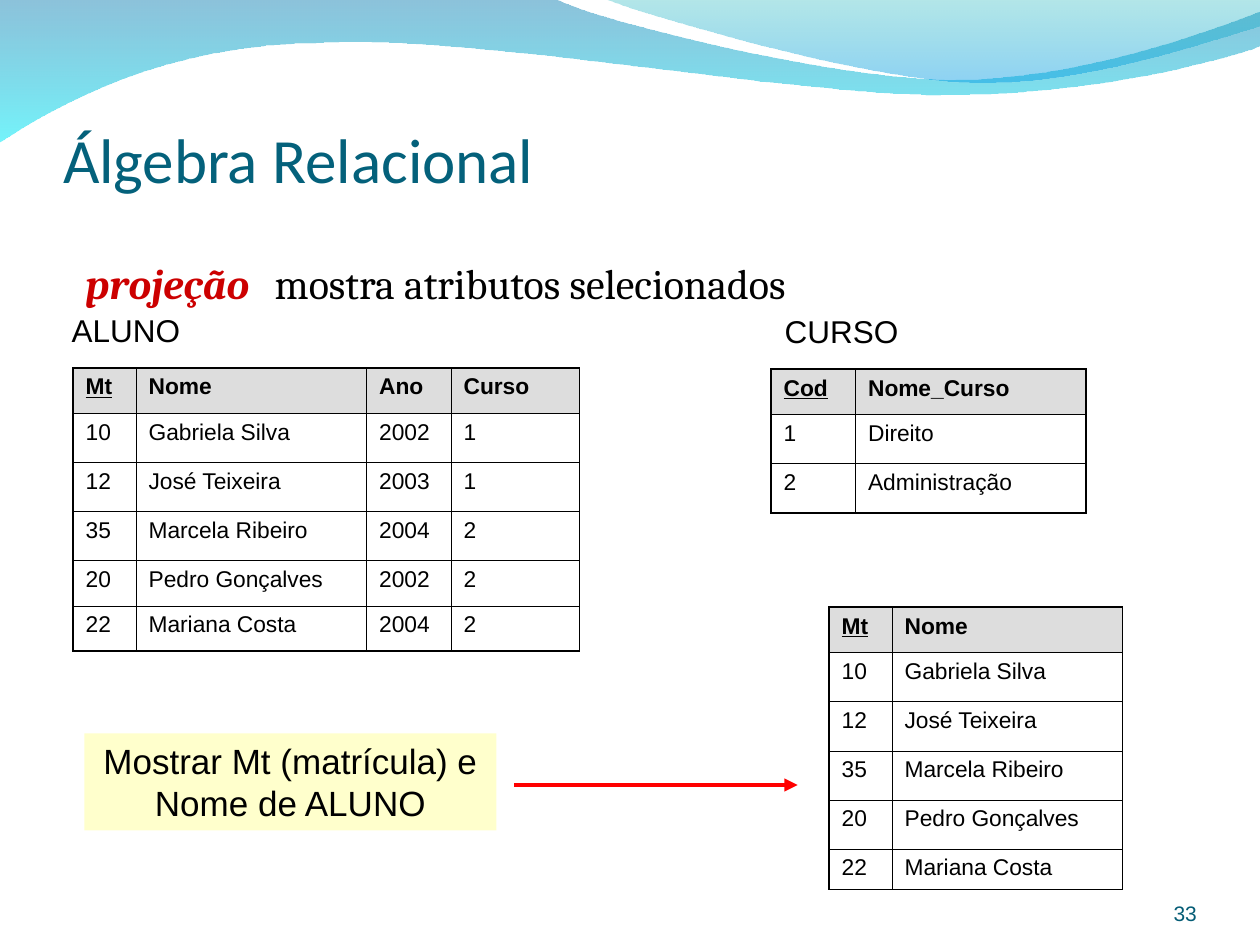
from dataclasses import dataclass

from lxml import etree
from pptx import Presentation
from pptx import util as u
from pptx.dml.color import RGBColor
from pptx.enum import shapes, text
from pptx.oxml import ns

BLACK, THICK, THIN = "000000", 1.08, 0.45
UNITS = 1000


@dataclass
class Wave:
    start: tuple
    segments: list
    stops: list


@dataclass
class Relation:
    left: float
    top: float
    widths: list
    heights: list
    rows: list


def rgb(value: str) -> RGBColor:
    return RGBColor.from_string(value)


def add_xml(parent, tag: str, **attrs):
    return etree.SubElement(parent, ns.qn(tag), attrs)


def box(left, top, width, height) -> list:
    return [u.Inches(v) for v in (left, top, width, height)]


def place(s, *bounds: float) -> None:
    s.left, s.top, s.width, s.height = box(*bounds)


def write(p, content: str, font="Arial", size=18, color=BLACK, bold=False,
          italic=False, underline=False, align=text.PP_ALIGN.LEFT) -> None:
    p.alignment = align
    r = p.add_run()
    r.text = content
    f = r.font
    f.name, f.size, f.color.rgb = font, u.Pt(size), rgb(color)
    f.bold, f.italic, f.underline = bold, italic, underline


def set_frame(tf, margins=(0.1, 0.05, 0.1, 0.05), wrap=True,
              anchor=text.MSO_ANCHOR.TOP) -> None:
    tf.auto_size = text.MSO_AUTO_SIZE.NONE
    tf.word_wrap, tf.vertical_anchor = wrap, anchor
    tf.margin_left, tf.margin_top, tf.margin_right, tf.margin_bottom = box(*margins)


def draw_wave(sp, wave: Wave) -> None:
    anchors = [wave.start] + [segment[-1] for segment in wave.segments]
    left, top = (min(values) for values in zip(*anchors))
    builder = sp.build_freeform(*(v * UNITS for v in wave.start),
                                scale=u.Inches(1) / UNITS)
    builder.add_line_segments([(x * UNITS, y * UNITS) for x, y in anchors[1:]], close=True)
    s = builder.convert_to_shape()
    lines = list(s._element.spPr.iter(ns.qn("a:lnTo")))
    for line, segment in zip(lines, wave.segments):
        if len(segment) == 3:
            curve = etree.Element(ns.qn("a:cubicBezTo"))
            for x, y in segment:
                add_xml(curve, "a:pt", x=str(round((x - left) * UNITS)),
                        y=str(round((y - top) * UNITS)))
            line.getparent().replace(line, curve)
    s.shadow.inherit = False
    s.line.fill.background()
    s.fill.gradient()
    s.fill.gradient_angle = 270
    colors = s.fill._xPr.iter(ns.qn("a:gs"))
    for stop, gs, (color, opacity) in zip(s.fill.gradient_stops, colors, wave.stops):
        stop.color.rgb = rgb(color)
        add_xml(gs[0], "a:alpha", val=str(opacity * 1000))


def draw_relation(sp, relation: Relation) -> None:
    n_rows, n_cols = len(relation.rows), len(relation.widths)
    bounds = box(relation.left, relation.top, sum(relation.widths), sum(relation.heights))
    table = sp.add_table(n_rows, n_cols, *bounds).table
    table.first_row = table.horz_banding = False
    for column, width in zip(table.columns, relation.widths):
        column.width = u.Inches(width)
    for i, (row, height) in enumerate(zip(relation.rows, relation.heights)):
        table.rows[i].height = u.Inches(height)
        for j, value in enumerate(row):
            cell = table.cell(i, j)
            header = i == 0
            write(cell.text_frame.paragraphs[0], value, size=13, bold=header,
                  underline=header and j == 0)
            edges = {"a:lnL": j == 0, "a:lnR": j == n_cols - 1,
                     "a:lnT": header, "a:lnB": i == n_rows - 1}
            for tag, outer in edges.items():
                width = u.Pt(THICK if outer else THIN)
                ln = add_xml(cell._tc.get_or_add_tcPr(), tag, w=str(int(width)))
                add_xml(add_xml(ln, "a:solidFill"), "a:srgbClr", val=BLACK)
            if header:
                cell.fill.solid()
                cell.fill.fore_color.rgb = rgb("DDDDDD")
            else:
                cell.fill.background()


def draw_label(sp, content: str, *bounds: float) -> None:
    tf = sp.add_textbox(*box(*bounds)).text_frame
    set_frame(tf, wrap=False)
    write(tf.paragraphs[0], content)


def draw_arrow(sp, x1: float, x2: float, y: float) -> None:
    s = sp.add_connector(shapes.MSO_CONNECTOR.STRAIGHT, *box(x1, y, x2, y))
    s.line.color.rgb, s.line.width = rgb("FF0000"), u.Pt(2.5)
    add_xml(s.line._get_or_add_ln(), "a:tailEnd", type="triangle")
    add_xml(s._element.spPr, "a:effectLst")


WAVES = [
    Wave((0, -0.01), [
        [(4.4, -0.01)],
        [(4.76, 0.17), (6.64, 0.63), (7.58, 0.63)],
        [(8.53, 0.63), (9.58, 0.26), (10, 0.09)],
        [(10.01, 0.36)],
        [(9.83, 0.44), (8.7, 0.76), (7.46, 0.75)],
        [(6.22, 0.75), (3.82, 0.28), (2.57, 0.34)],
        [(1.29, 0.35), (0.46, 0.83), (-0.01, 1.13)],
    ], [("0079AF", 45), ("00EBF8", 55)]),
    Wave((4.79, -0.01), [
        [(5.09, 0.11), (6.82, 0.62), (7.69, 0.65)],
        [(8.56, 0.69), (9.61, 0.32), (10, 0.21)],
        [(10, 0)],
    ], [("00ADB6", 30), ("009BE5", 45)]),
]

STUDENTS = [
    ("Mt", "Nome", "Ano", "Curso"),
    ("10", "Gabriela Silva", "2002", "1"),
    ("12", "José Teixeira", "2003", "1"),
    ("35", "Marcela Ribeiro", "2004", "2"),
    ("20", "Pedro Gonçalves", "2002", "2"),
    ("22", "Mariana Costa", "2004", "2"),
]
COURSES = [("Cod", "Nome_Curso"), ("1", "Direito"), ("2", "Administração")]

RELATIONS = [
    Relation(0.58, 2.92, [0.5, 1.83, 0.67, 1.02],
             [0.36, 0.39, 0.39, 0.39, 0.36, 0.36], STUDENTS),
    Relation(6.58, 4.82, [0.5, 1.83], [0.36, 0.39, 0.39, 0.39, 0.39, 0.32],
             [row[:2] for row in STUDENTS]),
    Relation(6.12, 2.93, [0.67, 1.83], [0.36, 0.39, 0.39], COURSES),
]


def main() -> None:
    prs = Presentation()
    prs.slide_width, prs.slide_height = u.Inches(10), u.Inches(7.5)
    slide = prs.slides.add_slide(prs.slide_layouts[1])
    sp = slide.shapes
    title, body = sp.title, slide.placeholders[1]

    for wave in WAVES:
        draw_wave(sp, wave)

    place(title, 0.5, 0.77, 9, 0.79)
    set_frame(title.text_frame, (0, 0.05, 0, 0), anchor=text.MSO_ANCHOR.BOTTOM)
    write(title.text_frame.paragraphs[0], "Álgebra Relacional", font="Calibri",
          size=36, color="04617B")

    place(body, 0.58, 1.67, 9.42, 0.83)
    set_frame(body.text_frame)
    p = body.text_frame.paragraphs[0]
    pPr = p._p.get_or_add_pPr()
    pPr.set("marL", "0")
    pPr.set("indent", "0")
    add_xml(pPr, "a:buNone")
    add_xml(add_xml(pPr, "a:tabLst"), "a:tab", pos=str(int(u.Inches(1.55))), algn="l")
    p.line_spacing, p.space_before = 1.8, u.Pt(0)
    write(p, "projeção", font="Cambria", size=24, color="CC0000", bold=True, italic=True)
    write(p, "\tmostra atributos selecionados", font="Cambria", size=24)

    draw_label(sp, "ALUNO", 0.47, 2.42, 1.06, 0.4)
    draw_label(sp, "CURSO", 6.13, 2.43, 1.1, 0.4)

    query = sp.add_shape(shapes.MSO_SHAPE.RECTANGLE, *box(0.67, 5.82, 3.27, 0.77))
    query.shadow.inherit = False
    query.fill.solid()
    query.fill.fore_color.rgb = rgb("FFFFCC")
    query.line.fill.background()
    set_frame(query.text_frame)
    write(query.text_frame.paragraphs[0], "Mostrar Mt (matrícula) e Nome de ALUNO",
          size=20, align=text.PP_ALIGN.CENTER)
    draw_arrow(sp, 4.08, 6.33, 6.23)

    for relation in RELATIONS:
        draw_relation(sp, relation)

    number = sp.add_textbox(*box(8.67, 6.95, 0.83, 0.4)).text_frame
    set_frame(number, (0, 0, 0, 0), anchor=text.MSO_ANCHOR.BOTTOM)
    write(number.paragraphs[0], "33", size=12, color="045C75", align=text.PP_ALIGN.RIGHT)

    prs.save("out.pptx")


if __name__ == "__main__":
    main()
